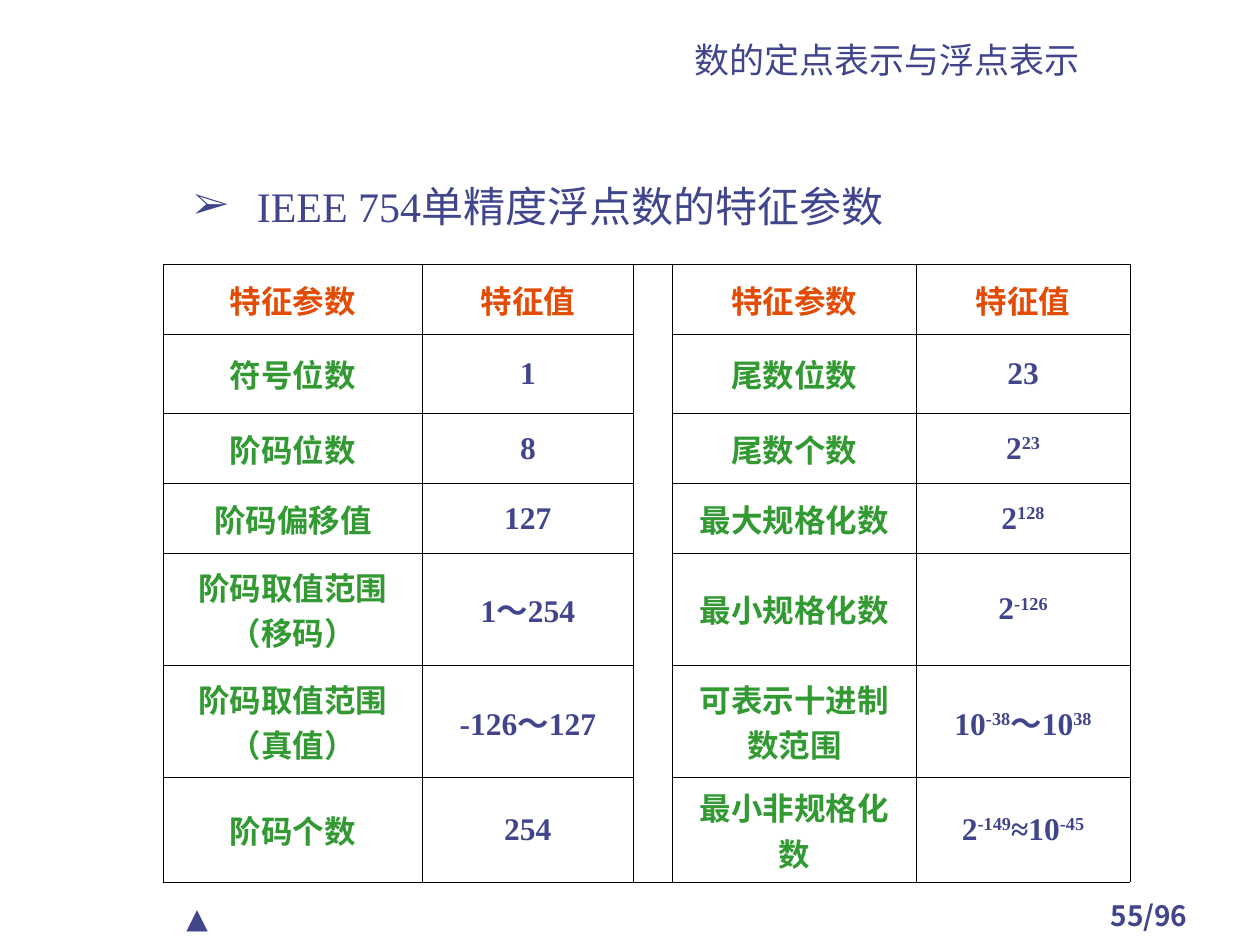
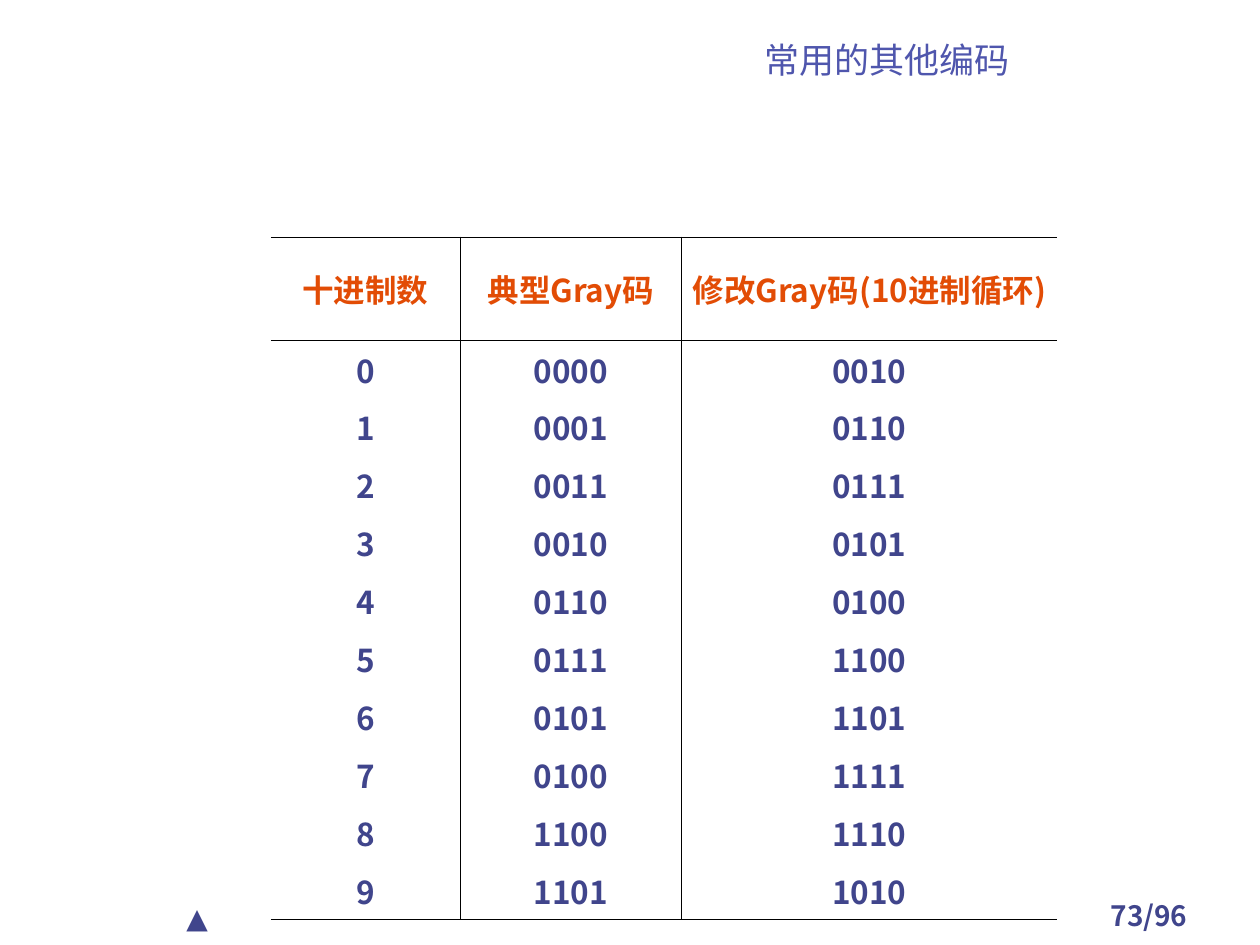
from lxml import etree
from pptx import Presentation
from pptx.dml.color import RGBColor
from pptx.enum import text as t
from pptx.oxml import ns
from pptx.util import Inches, Pt

NAVY, INDIGO, RED, GREEN, BLACK = "40458C", "4F56AD", "E24C05", "339933", "000000"
NOTO, TIMES, CABIN = "Noto Sans CJK SC", "Times New Roman", "Cabin"
CENTER, LEFT = t.PP_ALIGN.CENTER, t.PP_ALIGN.LEFT
MIDDLE, TOP, BOTTOM = t.MSO_ANCHOR.MIDDLE, t.MSO_ANCHOR.TOP, t.MSO_ANCHOR.BOTTOM

TRAITS = [
    ("特征参数", "特征值", "", "特征参数", "特征值"),
    ("符号位数", "1", "", "尾数位数", "23"),
    ("阶码位数", "8", "", "尾数个数", "2^23"),
    ("阶码偏移值", "127", "", "最大规格化数", "2^128"),
    ("阶码取值范围（移码）", "1～254", "", "最小规格化数", "2^-126"),
    ("阶码取值范围（真值）", "-126～127", "", "可表示十进制数范围", "10^-38^～10^38"),
    ("阶码个数", "254", "", "最小非规格化数", "2^-149^≈10^-45"),
]
GRAY = ["0000", "0001", "0011", "0010", "0110", "0111", "0101", "0100", "1100", "1101"]
CYCLE = ["0010", "0110", "0111", "0101", "0100", "1100", "1101", "1111", "1110", "1010"]
CODES = [("十进制数", "典型Gray码", "修改Gray码(10进制循环)")]
CODES += [(str(n), *pair) for n, pair in enumerate(zip(GRAY, CYCLE))]


def color(code):
    return RGBColor.from_string(code)


def node(parent, tag, **attrs):
    return etree.SubElement(parent, ns.qn(tag), attrs)


def style(para, size, face, code, bold=False, align=CENTER):
    para.alignment = align
    font = para.font
    font.size, font.name, font.bold = Pt(size), face, bold
    font.color.rgb = color(code)
    node(para._p.pPr.defRPr, "a:ea", typeface=NOTO)


def write(para, words):
    for i, part in enumerate(words.split("^")):
        run = para.add_run()
        run.text = part
        if i % 2:
            run.font._element.set("baseline", "30000")


def label(slide, box, words, size, face, code, bold=False, align=CENTER, anchor=TOP):
    frame = slide.shapes.add_textbox(*map(Inches, box)).text_frame
    frame.word_wrap = True
    frame.vertical_anchor = anchor
    para = frame.paragraphs[0]
    write(para, words)
    style(para, size, face, code, bold, align)


def bullet(slide, box, words):
    frame = slide.shapes.add_textbox(*map(Inches, box)).text_frame
    frame.word_wrap = True
    para = frame.paragraphs[0]
    props = para._p.get_or_add_pPr()
    props.set("marL", str(Inches(1.19)))
    props.set("indent", str(Inches(-0.5)))
    node(node(props, "a:buClr"), "a:srgbClr", val=NAVY)
    node(props, "a:buSzPct", val="90000")
    node(props, "a:buFont", typeface=TIMES)
    node(props, "a:buChar", char="➢")
    para.line_spacing = 1.1
    write(para, words)
    style(para, 24, TIMES, NAVY, align=LEFT)


def border(cell, sides):
    props = cell._tc.get_or_add_tcPr()
    for side in "LRTB":
        line = node(props, "a:ln" + side, w=str(Pt(0.45)))
        if side in sides:
            node(node(line, "a:solidFill"), "a:srgbClr", val=BLACK)
        else:
            node(line, "a:noFill")


def grid(slide, left, top, wide, high, rows, face, pad, ink, edge, anchor):
    frame = slide.shapes.add_table(
        len(high), len(wide), Inches(left), Inches(top), Inches(sum(wide)), Inches(sum(high)))
    table = frame.table
    table.first_row = table.horz_banding = False
    for col, width in zip(table.columns, wide):
        col.width = Inches(width)
    for r, (row, height) in enumerate(zip(rows, high)):
        table.rows[r].height = Inches(height)
        for c, words in enumerate(row):
            cell = table.cell(r, c)
            border(cell, edge(r, c))
            cell.fill.background()
            cell.margin_left = cell.margin_right = Inches(pad)
            cell.vertical_anchor = anchor(r)
            para = cell.text_frame.paragraphs[0]
            if words:
                write(para, words)
            style(para, 18, face, ink(r, c), True)
    return table


def page(deck, title, number, face, code):
    slide = deck.slides.add_slide(deck.slide_layouts[6])
    label(slide, (8.41, 7.08, 1.42, 0.33), f"{number}/96", 16, NOTO, NAVY, True)
    label(slide, (1.38, 7.1, 1.42, 0.37), "▲", 16, CABIN, NAVY, align=LEFT)
    label(slide, (4.25, 0.27, 5.58, 0.42), title, 20, face, code, anchor=BOTTOM)
    return slide


def traits(deck):
    slide = page(deck, "数的定点表示与浮点表示", 55, NOTO, NAVY)
    bullet(slide, (0.75, 1.34, 8.5, 0.68), "IEEE 754单精度浮点数的特征参数")
    table = grid(
        slide, 1.3, 2.1, [2.05, 1.68, 0.31, 1.93, 1.7],
        [0.55, 0.63, 0.56, 0.55, 0.89, 0.89, 0.83], TRAITS, TIMES, 0.1,
        ink=lambda r, c: RED if r == 0 else GREEN if c in (0, 3) else NAVY,
        edge=lambda r, c: "LRTB",
        anchor=lambda r: MIDDLE)
    table.cell(0, 2).merge(table.cell(len(TRAITS) - 1, 2))


def codes(deck):
    slide = page(deck, "常用的其他编码", 73, CABIN, INDIGO)
    last = len(CODES) - 1

    def edge(r, c):
        sides = ("L" if c > 0 else "") + ("R" if c < 2 else "")
        return sides + ("T" if r < 2 else "") + ("B" if r in (0, last) else "")

    grid(
        slide, 2.15, 1.88, [1.5, 1.76, 2.98], [0.82] + [0.46] * last, CODES, NOTO, 0.07,
        ink=lambda r, c: NAVY if r else RED,
        edge=edge,
        anchor=lambda r: TOP if r else MIDDLE)


def main():
    deck = Presentation()
    deck.slide_width, deck.slide_height = Inches(10), Inches(7.5)
    traits(deck)
    codes(deck)
    deck.save("out.pptx")


if __name__ == "__main__":
    main()
